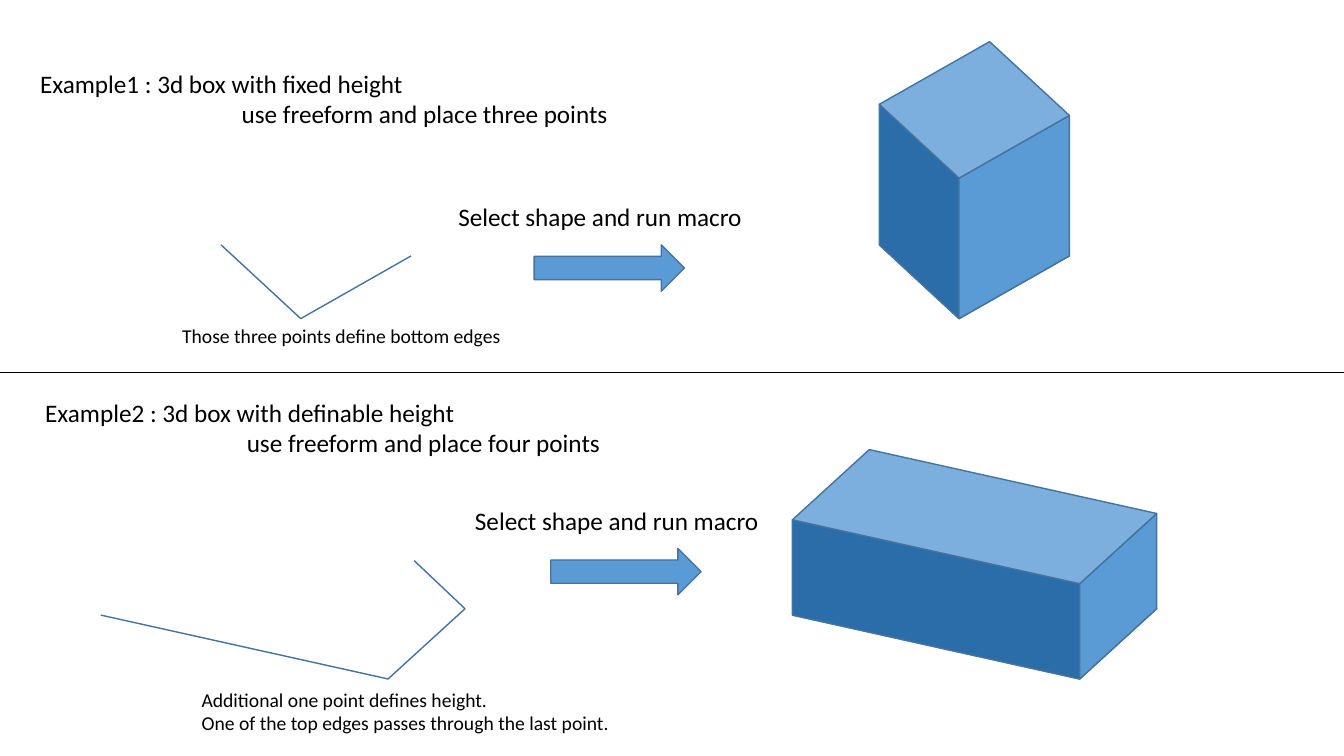
from dataclasses import dataclass
from typing import List, Optional, Tuple

from lxml.etree import SubElement
from pptx import Presentation
from pptx.dml.color import RGBColor
from pptx.enum.shapes import MSO_CONNECTOR as Connector, MSO_SHAPE as Preset
from pptx.enum.text import MSO_AUTO_SIZE as AutoSize
from pptx.oxml.ns import qn
from pptx.util import Cm, Pt

BLACK = RGBColor(0x00, 0x00, 0x00)
OUTLINE = RGBColor(0x43, 0x73, 0x9E)
LEFT_FACE = RGBColor(0x2B, 0x6D, 0xA9)
RIGHT_FACE = RGBColor(0x5B, 0x9B, 0xD5)
TOP_FACE = RGBColor(0x7C, 0xAF, 0xDD)

FONT = "Calibri"
PAGE_WIDTH, PAGE_HEIGHT = 33.87, 19.05
DIVIDER_Y = 9.39
SECOND_LINE_INDENT = 5.08

Point = Tuple[float, float]


@dataclass
class Caption:
    lines: List[str]
    left: float
    top: float
    width: float
    height: float
    size: int = 18
    last_indent: float = 0


@dataclass
class Example:
    heading: Caption
    note: Caption
    action_at: Point
    points: List[Point]  # left, front and right corners, then the optional height point
    shift: float
    box_height: float


EXAMPLES = [
    Example(
        Caption(["Example1 : 3d box with fixed height", "use freeform and place three points"],
                0.76, 1.6, 15, 1.8, last_indent=SECOND_LINE_INDENT),
        Caption(["Those three points define bottom edges"], 4.34, 8.05, 8.64, 0.86, 14),
        (11.3, 4.95),
        [(5.57, 6.17), (7.58, 8.03), (10.36, 6.45)],
        16.59, 3.54),
    Example(
        Caption(["Example2 : 3d box with definable height", "use freeform and place four points"],
                0.89, 9.88, 14.66, 1.8, last_indent=SECOND_LINE_INDENT),
        Caption(["Additional one point defines height.",
                 "One of the top edges passes through the last point."],
                4.83, 17.2, 11.05, 1.45, 14),
        (11.72, 12.6),
        [(2.54, 15.5), (9.78, 17.11), (11.72, 15.34), (10.44, 14.13)],
        17.43, 2.4),
]


def add_caption(page, caption: Caption) -> None:
    box = page.shapes.add_textbox(Cm(caption.left), Cm(caption.top),
                                  Cm(caption.width), Cm(caption.height))
    frame = box.text_frame
    frame.word_wrap = True
    frame.auto_size = AutoSize.SHAPE_TO_FIT_TEXT
    frame.text = "\n".join(caption.lines)
    for para in frame.paragraphs:
        for span in para.runs:
            span.font.name = FONT
            span.font.size = Pt(caption.size)
            span.font.color.rgb = BLACK
    if caption.last_indent:
        properties = frame.paragraphs[-1]._p.get_or_add_pPr()
        properties.set("marL", str(int(Cm(caption.last_indent))))


def paint(shape, fill: Optional[RGBColor]) -> None:
    shape.shadow.inherit = False
    if fill is None:
        shape.fill.background()
    else:
        shape.fill.solid()
        shape.fill.fore_color.rgb = fill
    shape.line.color.rgb = OUTLINE
    shape.line.width = Pt(1)


def add_outline(page, points: List[Point], fill: Optional[RGBColor] = None) -> None:
    corners = [(Cm(x), Cm(y)) for x, y in points]
    builder = page.shapes.build_freeform(*corners[0])
    builder.add_line_segments(corners[1:], close=fill is not None)
    paint(builder.convert_to_shape(), fill)


def add_solid(page, example: Example) -> None:
    base = [(x + example.shift, y) for x, y in example.points]
    add_outline(page, base)
    left, front, right = base[:3]
    top_left, top_front, top_right = [(x, y - example.box_height) for x, y in base[:3]]
    top_back = (top_left[0] + top_right[0] - top_front[0],
                top_left[1] + top_right[1] - top_front[1])
    add_outline(page, [left, front, top_front, top_left], LEFT_FACE)
    add_outline(page, [front, right, top_right, top_front], RIGHT_FACE)
    add_outline(page, [top_left, top_front, top_right, top_back], TOP_FACE)


def add_action(page, left: float, top: float) -> None:
    arrow = page.shapes.add_shape(Preset.RIGHT_ARROW, Cm(left + 2.16), Cm(top + 1.22),
                                  Cm(3.79), Cm(1.17))
    paint(arrow, RIGHT_FACE)
    add_caption(page, Caption(["Select shape and run macro"], left, top, 7.75, 1.02))


def add_divider(page) -> None:
    divider = page.shapes.add_connector(Connector.STRAIGHT, Cm(0), Cm(DIVIDER_Y),
                                        Cm(PAGE_WIDTH), Cm(DIVIDER_Y))
    divider.line.color.rgb = BLACK
    divider.line.width = Pt(0.5)
    SubElement(divider._element.spPr, qn("a:effectLst"))


def main() -> None:
    deck = Presentation()
    deck.slide_width, deck.slide_height = Cm(PAGE_WIDTH), Cm(PAGE_HEIGHT)
    page = deck.slides.add_slide(deck.slide_layouts[6])

    # Each example: drawn points, action arrow and resulting box
    for example in EXAMPLES:
        add_caption(page, example.heading)
        add_outline(page, example.points)
        add_solid(page, example)
        add_action(page, *example.action_at)

    # Notes under the drawn points, and the line between the examples
    for example in EXAMPLES:
        add_caption(page, example.note)
    add_divider(page)

    deck.save("out.pptx")


if __name__ == "__main__":
    main()
